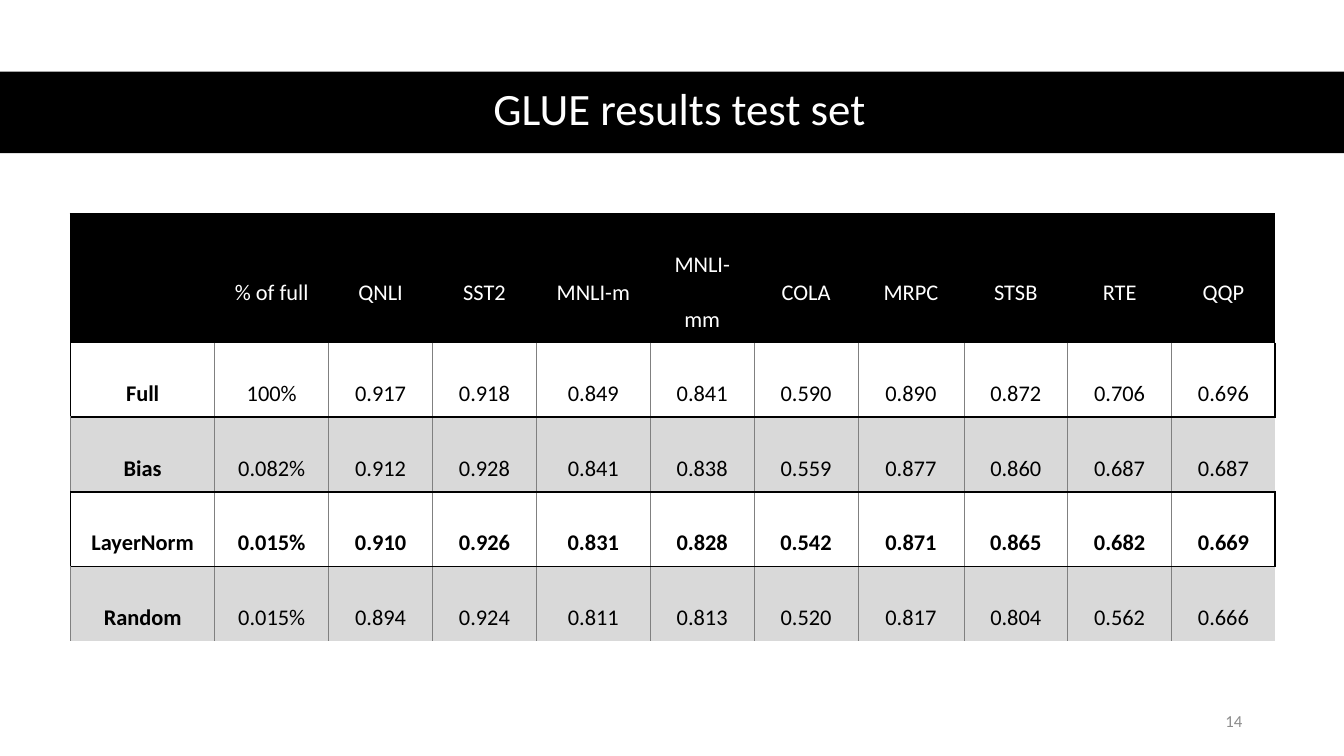
from lxml import etree
from pptx import Presentation
from pptx import util as u
from pptx.dml.color import RGBColor
from pptx.enum import shapes, text
from pptx.oxml import ns

PX = 9144
FONT = "Calibri"
BLACK = RGBColor(0x00, 0x00, 0x00)
WHITE = RGBColor(0xFF, 0xFF, 0xFF)
BAND_GREY = RGBColor(0xD9, 0xD9, 0xD9)
RULE_GREY = RGBColor(0x80, 0x80, 0x80)
NUMBER_GREY = RGBColor(0x8C, 0x8C, 0x8C)
NO_STYLE = "{2D5ABB26-0587-4C30-8999-92F81FD0307C}"
FRAME = (BLACK, 1.5)
RULE = (RULE_GREY, 0.5)

COLUMN_WIDTHS = [143, 113, 103, 103, 113, 103, 103, 105, 103, 103, 103]
ROW_HEIGHTS = [128, 74, 74, 74, 74]
RESULTS = [
    ["", "% of full", "QNLI", "SST2", "MNLI-m", "MNLI-mm", "COLA", "MRPC", "STSB", "RTE", "QQP"],
    ["Full", "100%", "0.917", "0.918", "0.849", "0.841", "0.590", "0.890", "0.872", "0.706", "0.696"],
    ["Bias", "0.082%", "0.912", "0.928", "0.841", "0.838", "0.559", "0.877", "0.860", "0.687", "0.687"],
    ["LayerNorm", "0.015%", "0.910", "0.926", "0.831", "0.828", "0.542", "0.871", "0.865", "0.682", "0.669"],
    ["Random", "0.015%", "0.894", "0.924", "0.811", "0.813", "0.520", "0.817", "0.804", "0.562", "0.666"],
]
BOLD_ROW = "LayerNorm"


def px(*lengths):
    return [u.Emu(length * PX) for length in lengths]


def write(paragraph, words, size, color, align, bold=False):
    paragraph.text = words
    paragraph.alignment = align
    for run in paragraph.runs:
        run.font.name = FONT
        run.font.size = u.Pt(size)
        run.font.bold = bold
        run.font.color.rgb = color


def add_band(slide, box):
    band = slide.shapes.add_shape(shapes.MSO_SHAPE.RECTANGLE, *px(*box))
    band.shadow.inherit = False
    band.fill.solid()
    band.fill.fore_color.rgb = BLACK
    band.line.fill.background()


def add_label(slide, box, words, size, color, align):
    frame = slide.shapes.add_textbox(*px(*box)).text_frame
    frame.word_wrap = True
    frame.vertical_anchor = text.MSO_ANCHOR.MIDDLE
    line = frame.paragraphs[0]
    write(line, words, size, color, align)
    return line


def set_borders(cell, borders):
    properties = cell._tc.get_or_add_tcPr()
    for side in "LRTB":
        if side in borders:
            color, width = borders[side]
            edge = etree.SubElement(properties, ns.qn(f"a:ln{side}"), w=str(u.Pt(width)))
            solid = etree.SubElement(edge, ns.qn("a:solidFill"))
            etree.SubElement(solid, ns.qn("a:srgbClr"), val=str(color))


def borders_of(row, column):
    first, last = column == 0, column == len(COLUMN_WIDTHS) - 1
    if row == 0:
        borders = {"L": FRAME, "T": FRAME, "R": FRAME}
    elif row % 2:
        return {"L": FRAME if first else RULE, "R": FRAME if last else RULE, "B": FRAME}
    else:
        borders = {"L": RULE, "T": FRAME, "R": RULE}
    if last:
        del borders["R"]
    return borders


def fill_cell(cell, row, column, words):
    header = row == 0
    cell.margin_left, cell.margin_right, cell.margin_top, cell.margin_bottom = px(8, 8, 1, 0)
    cell.vertical_anchor = text.MSO_ANCHOR.MIDDLE
    set_borders(cell, borders_of(row, column))
    if row % 2:
        cell.fill.background()
    else:
        cell.fill.solid()
        cell.fill.fore_color.rgb = BLACK if header else BAND_GREY
    if words:
        line = cell.text_frame.paragraphs[0]
        bold = not header and (column == 0 or RESULTS[row][0] == BOLD_ROW)
        write(line, words, 16, WHITE if header else BLACK, text.PP_ALIGN.CENTER, bold)
        line.line_spacing = 2.0
        line.space_after = u.Pt(8 if header else 0)


def add_results(slide, left, top):
    box = px(left, top, sum(COLUMN_WIDTHS), sum(ROW_HEIGHTS))
    results = slide.shapes.add_table(len(RESULTS), len(COLUMN_WIDTHS), *box).table
    results._tbl.tblPr.find(ns.qn("a:tableStyleId")).text = NO_STYLE
    results.horz_banding = False
    for column, width in zip(results.columns, px(*COLUMN_WIDTHS)):
        column.width = width
    for row, height in zip(results.rows, px(*ROW_HEIGHTS)):
        row.height = height
    for row, scores in enumerate(RESULTS):
        for column, words in enumerate(scores):
            fill_cell(results.cell(row, column), row, column, words)


def main():
    deck = Presentation()
    deck.slide_width, deck.slide_height = px(1333, 750)
    slide = deck.slides.add_slide(deck.slide_layouts[6])
    add_band(slide, (0, 71, 1333, 81))
    title = add_label(slide, (61, 70, 1226, 81), "GLUE results test set", 32, WHITE, text.PP_ALIGN.CENTER)
    title.line_spacing = 0.9
    number = add_label(slide, (942, 695, 300, 40), "14", 12, NUMBER_GREY, text.PP_ALIGN.RIGHT)
    number.space_after = u.Pt(6)
    add_results(slide, 70, 212)
    deck.save("out.pptx")


if __name__ == "__main__":
    main()
